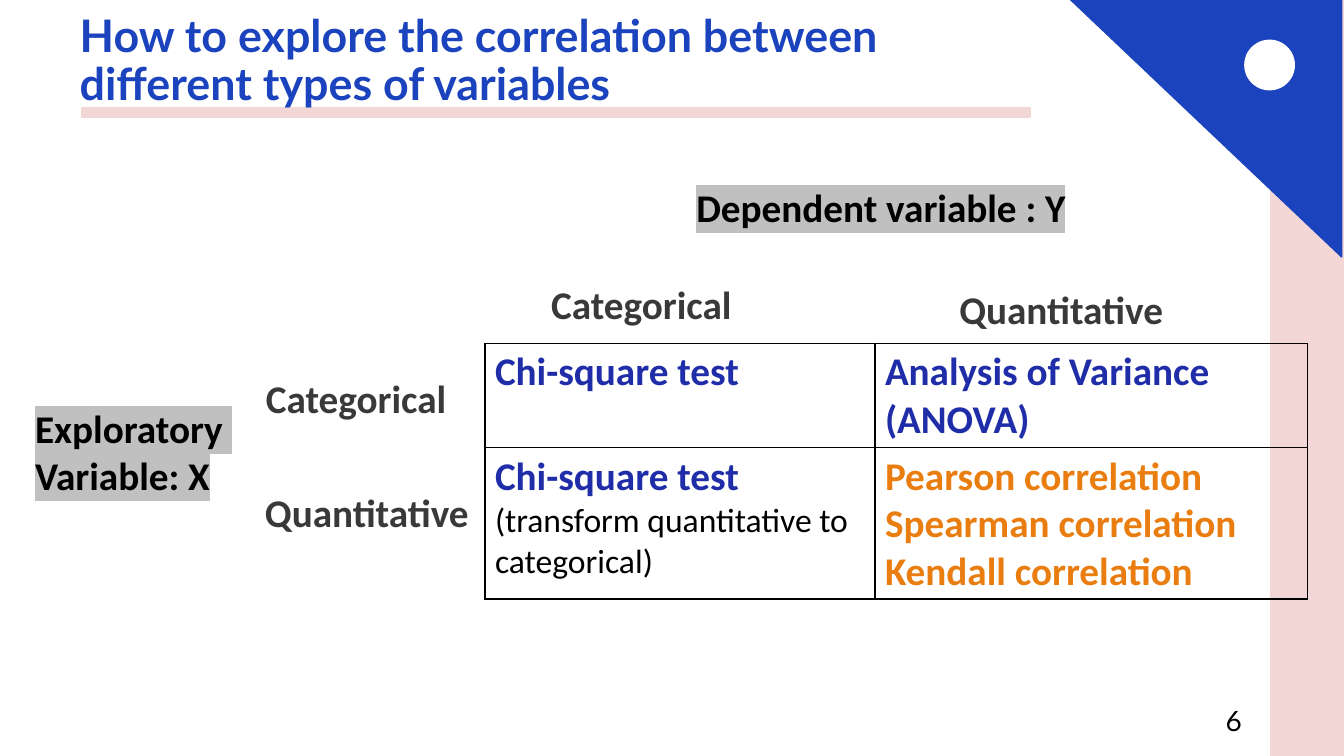
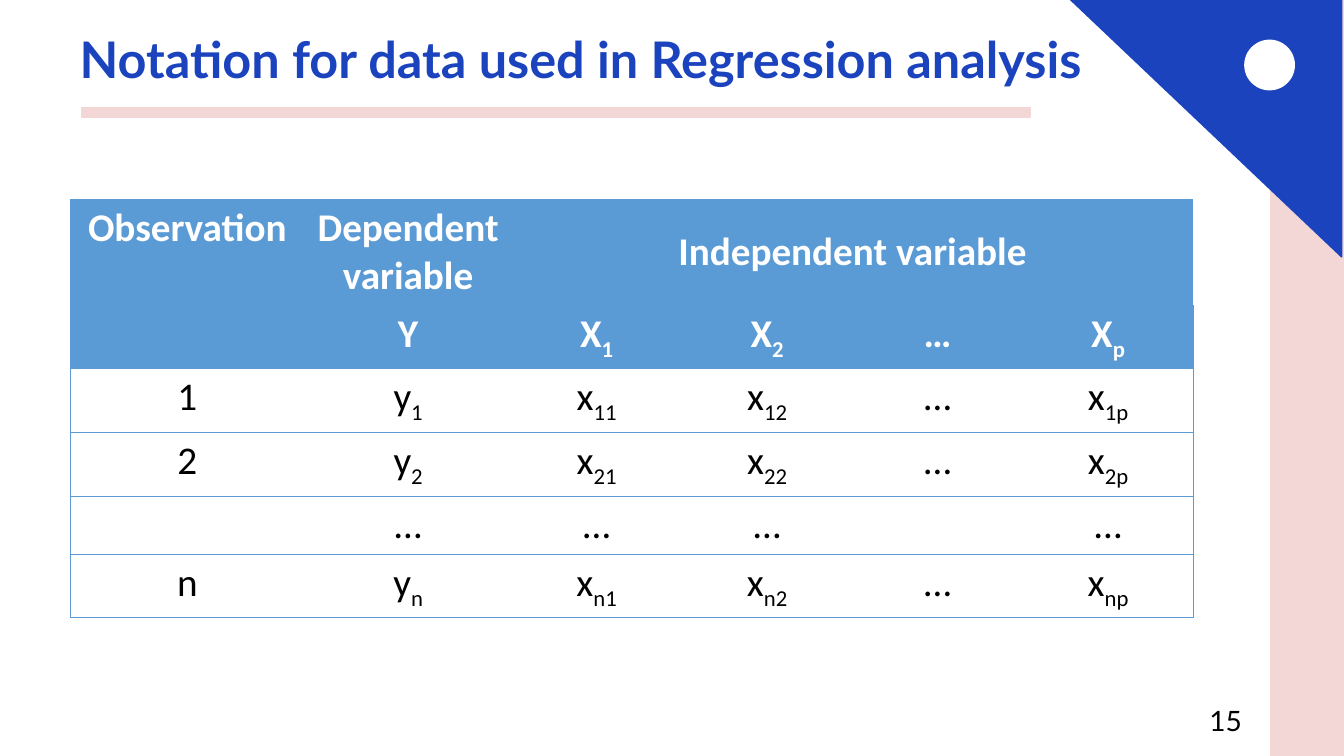
from dataclasses import dataclass, replace

from pptx import Presentation
from pptx.dml.color import RGBColor
from pptx.enum.shapes import MSO_SHAPE as Preset
from pptx.enum.text import MSO_ANCHOR as Anchor, MSO_AUTO_SIZE as AutoSize, PP_ALIGN as Align
from pptx.oxml.ns import qn
from pptx.oxml.xmlchemy import OxmlElement
from pptx.util import Pt


@dataclass(frozen=True)
class TextStyle:
    size: int
    color: str
    bold: bool = False
    font: str = "Calibri"


class Theme:
    BLUE = "1B43BD"
    PINK = "F3D7D6"
    WHITE = "FFFFFF"
    BLACK = "000000"
    GRAY = "C0C0C0"
    HEADER = "5B9BD5"
    NO_TABLE_STYLE = "{2D5ABB26-0587-4C30-8999-92F81FD0307C}"

    title = TextStyle(36, BLUE, True, "Lato")
    title_small = replace(title, size=32)
    page_number = TextStyle(20, BLACK, font="Lato")
    data = TextStyle(28, BLACK)
    variable = replace(data, bold=True)
    label = replace(variable, color="3B3838")
    method = replace(variable, color="202DA8")
    correlation = replace(variable, color="EA7D10")
    note = replace(data, size=24)
    header = replace(variable, color=WHITE)


# Text
def add_runs(paragraph, text):
    """Write text; whatever follows an underscore becomes a subscript."""
    base, _, subscript = text.partition("_")
    paragraph.add_run().text = base
    if subscript:
        run = paragraph.add_run()
        run.text = subscript
        run.font._element.set("baseline", "-25000")


def write(frame, lines, align=Align.LEFT):
    """Fill a text frame with (text, style) lines."""
    for index, (text, style) in enumerate(lines):
        paragraph = frame.add_paragraph() if index else frame.paragraphs[0]
        if text:
            add_runs(paragraph, text)
        paragraph.alignment = align
        font = paragraph.font
        font.name, font.size, font.bold = style.font, Pt(style.size), style.bold
        font.color.rgb = RGBColor.from_string(style.color)


def highlight(frame, color):
    for paragraph in frame.paragraphs:
        for run in paragraph.runs:
            mark = OxmlElement("a:highlight")
            value = OxmlElement("a:srgbClr")
            value.set("val", color)
            mark.append(value)
            run.font._element.append(mark)


def add_label(slide, left, top, width, height, lines):
    box = slide.shapes.add_textbox(Pt(left), Pt(top), Pt(width), Pt(height))
    frame = box.text_frame
    frame.word_wrap = False
    frame.auto_size = AutoSize.SHAPE_TO_FIT_TEXT
    write(frame, lines)
    return frame


# Shared slide parts
def add_block(slide, preset, left, top, width, height, color):
    shape = slide.shapes.add_shape(preset, Pt(left), Pt(top), Pt(width), Pt(height))
    shape.shadow.inherit = False
    shape.fill.solid()
    shape.fill.fore_color.rgb = shape.line.color.rgb = RGBColor.from_string(color)
    shape.line.width = Pt(1)
    return shape


def decorate_layout(slide):
    """Draw the band, corner, dot and title rule, and keep them on the layout."""
    band = add_block(slide, Preset.RECTANGLE, 908, -0.5, 52, 540.5, Theme.PINK)
    corner = add_block(slide, Preset.RIGHT_TRIANGLE, 763.3, -1.5, 195, 185, Theme.BLUE)
    corner.rotation = 180
    dot = add_block(slide, Preset.OVAL, 889.2, 28.8, 35.3, 35.3, Theme.WHITE)
    rule = add_block(slide, Preset.RECTANGLE, 58.3, 77, 677.5, 6.5, Theme.PINK)
    for shape in (band, corner, dot, rule):
        slide.slide_layout.shapes._spTree.append(shape._element)


def add_slide(presentation, title, width, style, number):
    slide = presentation.slides.add_slide(presentation.slide_layouts[5])
    shape = slide.shapes.title
    shape.left, shape.top, shape.width, shape.height = Pt(49.7), Pt(15.1), Pt(width), Pt(58.3)
    frame = shape.text_frame
    frame.auto_size = AutoSize.NONE
    frame.vertical_anchor = Anchor.MIDDLE
    write(frame, [(title, style)])
    frame.paragraphs[0].line_spacing = 0.9

    box = slide.shapes.add_textbox(Pt(678.2), Pt(500.4), Pt(216), Pt(28.8))
    box.text_frame.word_wrap = True
    box.text_frame.vertical_anchor = Anchor.MIDDLE
    write(box.text_frame, [(number, Theme.page_number)], Align.RIGHT)
    return slide


# Tables
def add_table(slide, left, top, columns, rows):
    table = slide.shapes.add_table(len(rows), len(columns), Pt(left), Pt(top),
                                   Pt(sum(columns)), Pt(sum(rows))).table
    table.first_row = table.horz_banding = False
    table._tbl.tblPr.find(qn("a:tableStyleId")).text = Theme.NO_TABLE_STYLE
    for column, width in zip(table.columns, columns):
        column.width = Pt(width)
    for row, height in zip(table.rows, rows):
        row.height = Pt(height)
    return table


def set_borders(cell, sides, color, width):
    properties = cell._tc.get_or_add_tcPr()
    for side in sides:
        line = OxmlElement(f"a:ln{side}")
        line.set("w", str(Pt(width)))
        fill = OxmlElement("a:solidFill")
        value = OxmlElement("a:srgbClr")
        value.set("val", color)
        fill.append(value)
        line.append(fill)
        properties.append(line)


def add_methods_table(slide):
    methods = [
        [[("Chi-square test", Theme.method)],
         [("Analysis of Variance", Theme.method), ("(ANOVA)", Theme.method)]],
        [[("Chi-square test", Theme.method),
          ("(transform quantitative to categorical)", Theme.note)],
         [(f"{name} correlation", Theme.correlation)
          for name in ("Pearson", "Spearman", "Kendall")]],
    ]
    table = add_table(slide, 346.4, 245.3, [278.6, 308.9], [71.3, 103.7])
    for row, contents in zip(table.rows, methods):
        for cell, lines in zip(row.cells, contents):
            write(cell.text_frame, lines)
            set_borders(cell, "LRTB", Theme.BLACK, 1)
            cell.fill.background()


def add_notation_table(slide):
    header_rows = 2
    notation = [
        ["Observation", "Dependent variable", "Independent variable", "", "", ""],
        ["", "Y", "X_1", "X_2", "…", "X_p"],
        ["1", "y_1", "x_11", "x_12", "…", "x_1p"],
        ["2", "y_2", "x_21", "x_22", "…", "x_2p"],
        ["", "…", "…", "…", "", "…"],
        ["n", "y_n", "x_n1", "x_n2", "…", "x_np"],
    ]
    columns = [167.7, 147.6] + [121.8] * 4
    table = add_table(slide, 50, 142.3, columns, [75.5, 45, 45, 45, 41.5, 45])
    last = len(columns) - 1
    for r, texts in enumerate(notation):
        is_header = r < header_rows
        for c, text in enumerate(texts):
            cell = table.cell(r, c)
            style = Theme.header if is_header else Theme.data
            write(cell.text_frame, [(text, style)], Align.CENTER)
            sides = ("L" if c == 0 else "") + ("R" if c == last else "") + "TB"
            set_borders(cell, sides, Theme.HEADER, 0.5)
            if is_header:
                cell.fill.solid()
                cell.fill.fore_color.rgb = RGBColor.from_string(Theme.HEADER)
            else:
                cell.fill.background()
    table.cell(0, 0).merge(table.cell(1, 0))
    table.cell(0, 2).merge(table.cell(0, last))
    table.cell(0, 2).vertical_anchor = Anchor.MIDDLE


# Slides
def build_correlation_slide(presentation):
    slide = add_slide(presentation,
                      "How to explore the correlation between different types of variables",
                      704.2, Theme.title_small, "6")
    decorate_layout(slide)
    dependent = add_label(slide, 490.3, 127.4, 283.7, 41,
                          [("Dependent variable : Y", Theme.variable)])
    exploratory = add_label(slide, 18, 285.1, 164.2, 75,
                            [("Exploratory ", Theme.variable), ("Variable: X", Theme.variable)])
    for frame in (dependent, exploratory):
        highlight(frame, Theme.GRAY)
    add_methods_table(slide)
    for text, left, top, width in (("Categorical", 182.9, 264.2, 150.5),
                                   ("Quantitative", 182.2, 345.6, 163.4),
                                   ("Categorical", 386.6, 196.6, 150.5),
                                   ("Quantitative", 678.2, 200.2, 163.4)):
        add_label(slide, left, top, width, 41, [(text, Theme.label)])


def build_notation_slide(presentation):
    slide = add_slide(presentation, "Notation for data used in Regression analysis",
                      828, Theme.title, "15")
    add_notation_table(slide)


def main():
    presentation = Presentation()
    presentation.slide_width, presentation.slide_height = Pt(960), Pt(540)
    build_correlation_slide(presentation)
    build_notation_slide(presentation)
    presentation.save("out.pptx")


if __name__ == "__main__":
    main()
